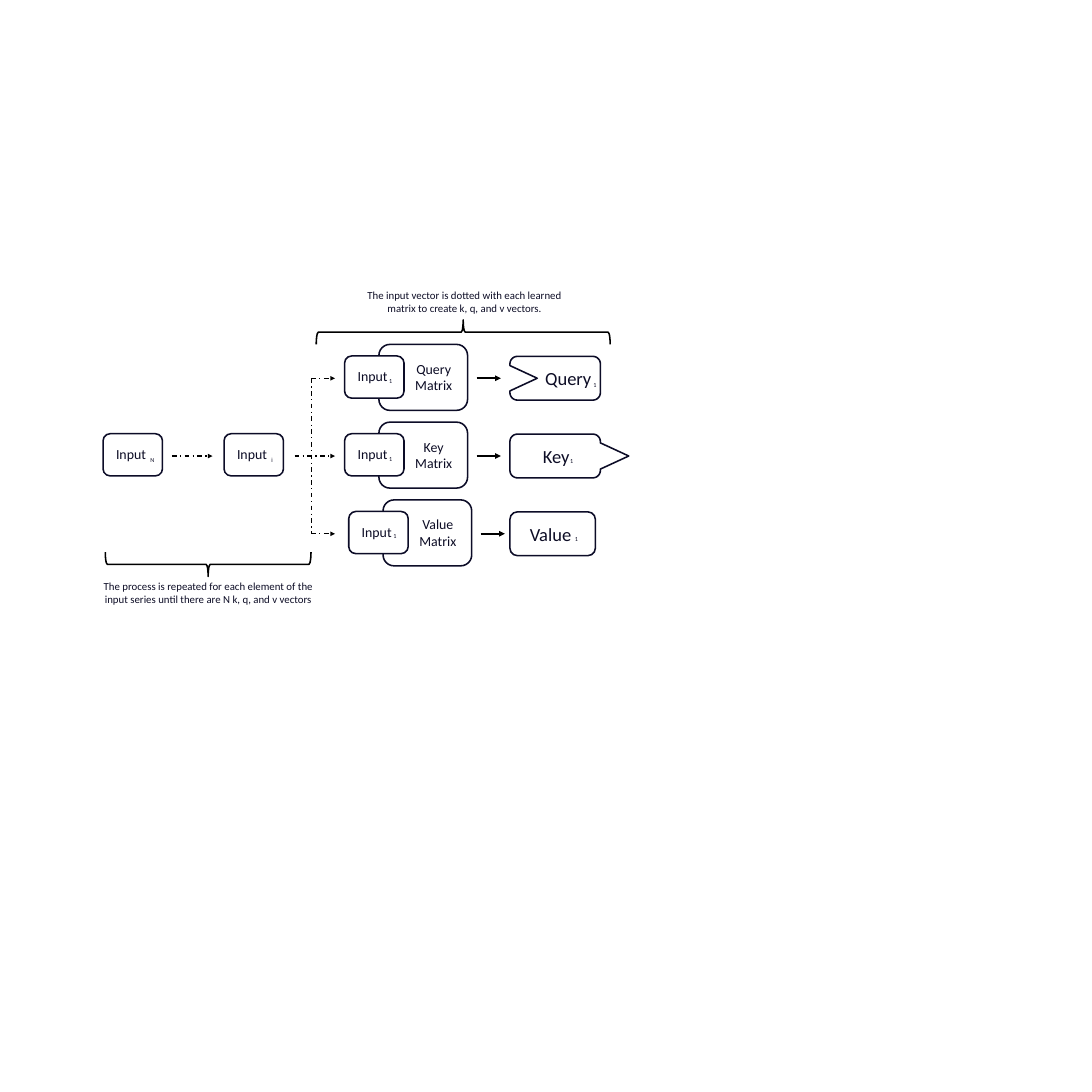
from dataclasses import dataclass
from math import cos, radians, sin

from lxml.etree import SubElement
from pptx import Presentation
from pptx.dml.color import RGBColor
from pptx.enum.dml import MSO_LINE
from pptx.enum.shapes import MSO_CONNECTOR, MSO_SHAPE
from pptx.enum.text import MSO_ANCHOR, MSO_AUTO_SIZE, PP_ALIGN
from pptx.oxml.ns import qn
from pptx.shapes.autoshape import Shape
from pptx.slide import Slide
from pptx.text.text import TextFrame
from pptx.util import Cm, Pt

Point = tuple[float, float]

WHITE = RGBColor(0xFF, 0xFF, 0xFF)
BLACK = RGBColor(0x00, 0x00, 0x00)
OUTLINE = RGBColor(0x0C, 0x0C, 0x27)
INK = RGBColor(0x0C, 0x0C, 0x25)
FONT = "Calibri"

# All lengths are centimetres.
PAGE_SIDE = 50
MIDDLE = 20.88
ROW_PITCH = 3.56
INPUT_WIDTH, INPUT_HEIGHT = 2.72, 1.93
MATRIX_WIDTH, MATRIX_HEIGHT = 4.06, 3.02
OUTPUT_LEFT, OUTPUT_HEIGHT = 23.35, 2.0
VECTOR_WIDTH, VECTOR_RADIUS = 4.14, 0.34
VALUE_WIDTH = 3.91
LABEL_WIDTH = 3.94
SUBSCRIPT_WIDTH = 2.16
BRACE_DEPTH = 1.12
FORK_X, FORK_END = 14.25, 15.34


@dataclass(frozen=True)
class Row:
    name: str
    centre: float
    left: float
    label_left: float
    subscript_left: float
    subscript_drop: float


@dataclass(frozen=True)
class SeriesInput:
    left: float
    subscript: str
    arrow_start: float
    arrow_end: float


@dataclass(frozen=True)
class Brace:
    left: float
    top: float
    length: float
    rotation: int


@dataclass(frozen=True)
class Caption:
    text: str
    left: float
    top: float
    width: float


ROWS = [
    Row("Query", MIDDLE - ROW_PITCH, 15.78, 24.05, 26.16, 0.03),
    Row("Key", MIDDLE, 15.78, 23.5, 25.1, -0.05),
    Row("Value", MIDDLE + ROW_PITCH, 15.97, OUTPUT_LEFT, 25.32, -0.03),
]
SERIES = [
    SeriesInput(4.72, "N", 7.87, 9.73),
    SeriesInput(10.26, "i", 13.49, FORK_END),
]
BRACES = [Brace(8.97, 21.13, 9.42, 90), Brace(20.65, 8.48, 13.46, 270)]
CAPTIONS = [
    Caption("The input vector is dotted with each learned matrix to create "
            "k, q, and v vectors.", 16.15, 13.11, 10.24),
    Caption("The process is repeated for each element of the input series "
            "until there are N k, q, and v vectors", 3.99, 26.42, 11.1),
]


def write(frame: TextFrame, text: str, *, size: float) -> None:
    frame.word_wrap = True
    for index, line in enumerate(text.split("\n")):
        para = frame.paragraphs[0] if index == 0 else frame.add_paragraph()
        para.alignment = PP_ALIGN.CENTER
        span = para.add_run()
        span.text = line
        span.font.name = FONT
        span.font.size = Pt(size)
        span.font.color.rgb = INK


def add_text(page: Slide, text: str, left: float, top: float, *,
             width: float, height: float, size: float) -> None:
    box = page.shapes.add_textbox(Cm(left), Cm(top), Cm(width), Cm(height))
    write(box.text_frame, text, size=size)
    box.text_frame.auto_size = MSO_AUTO_SIZE.SHAPE_TO_FIT_TEXT


def style(shape: Shape) -> None:
    shape.shadow.inherit = False
    shape.fill.solid()
    shape.fill.fore_color.rgb = WHITE
    shape.line.color.rgb = OUTLINE
    shape.line.width = Pt(2)


def add_box(page: Slide, left: float, top: float, width: float,
            height: float) -> Shape:
    box = page.shapes.add_shape(MSO_SHAPE.ROUNDED_RECTANGLE, Cm(left), Cm(top),
                                Cm(width), Cm(height))
    style(box)
    return box


def add_line(page: Slide, start: Point, end: Point, *, width: float = 1.5,
             dashed: bool = True, arrow: bool = True) -> None:
    line = page.shapes.add_connector(
        MSO_CONNECTOR.STRAIGHT, *(Cm(value) for value in start + end))
    line.line.color.rgb = BLACK
    line.line.width = Pt(width)
    if dashed:
        line.line.dash_style = MSO_LINE.DASH_DOT
    properties = line.element.spPr
    if arrow:
        SubElement(properties.find(qn("a:ln")), qn("a:tailEnd"), type="triangle")
    SubElement(properties, qn("a:effectLst"))


def corner(x: float, y: float, first_angle: int) -> list[Point]:
    """Return a quarter circle, clockwise around (x, y)."""
    angles = [radians(first_angle + step) for step in range(0, 91, 10)]
    return [(x + VECTOR_RADIUS * cos(angle), y + VECTOR_RADIUS * sin(angle))
            for angle in angles]


def add_vector(page: Slide, centre: float, *, notch: list[Point] = [],
               tip: list[Point] = []) -> None:
    """Draw a rounded block with a notch on its left or a tip on its right."""
    half = OUTPUT_HEIGHT / 2
    near, far = VECTOR_RADIUS, VECTOR_WIDTH - VECTOR_RADIUS
    upper, lower = VECTOR_RADIUS - half, half - VECTOR_RADIUS
    outline = (corner(near, upper, 180) + corner(far, upper, 270) + tip
               + corner(far, lower, 0) + corner(near, lower, 90) + notch)
    points = [(Cm(OUTPUT_LEFT + x), Cm(centre + y)) for x, y in outline]
    builder = page.shapes.build_freeform(*points[0])
    builder.add_line_segments(points[1:], close=True)
    style(builder.convert_to_shape())


def add_input(page: Slide, left: float, centre: float) -> None:
    add_box(page, left, centre - 1.02, INPUT_WIDTH, INPUT_HEIGHT)
    add_text(page, "Input", left + 0.2, centre - 0.6,
             width=2.16, height=1.02, size=18)


def add_subscript(page: Slide, text: str, left: float, top: float, *,
                  width: float = SUBSCRIPT_WIDTH) -> None:
    add_text(page, text, left, top, width=width, height=0.61, size=8)


def add_output(page: Slide, row: Row) -> None:
    if row.name == "Value":
        box = add_box(page, OUTPUT_LEFT, row.centre - 1, VALUE_WIDTH, OUTPUT_HEIGHT)
        write(box.text_frame, "Value ", size=24)
        box.text_frame.vertical_anchor = MSO_ANCHOR.MIDDLE
        return
    if row.name == "Query":
        add_vector(page, row.centre, notch=[(0, 0.58), (1.25, 0), (0, -0.58)])
    else:
        add_vector(page, row.centre, tip=[(VECTOR_WIDTH, -0.6),
                                          (VECTOR_WIDTH + 1.3, 0),
                                          (VECTOR_WIDTH, 0.6)])
    add_text(page, row.name, row.label_left, row.centre - 0.64,
             width=LABEL_WIDTH, height=1.27, size=24)


def add_row(page: Slide, row: Row) -> None:
    add_box(page, row.left + 1.57, row.centre - 1.55, MATRIX_WIDTH, MATRIX_HEIGHT)
    add_input(page, row.left, row.centre)
    add_text(page, f"{row.name}\nMatrix", row.left + 2.76, row.centre - 0.94,
             width=2.64, height=1.8, size=18)
    add_line(page, (row.left + 6.04, row.centre), (row.left + 7.15, row.centre),
             width=2.5, dashed=False)
    add_output(page, row)
    add_subscript(page, "1", row.left + 1.03, row.centre - 0.17)
    add_subscript(page, "1", row.subscript_left, row.centre + row.subscript_drop)


def add_brace(page: Slide, brace: Brace) -> None:
    shape = page.shapes.add_shape(MSO_SHAPE.RIGHT_BRACE, Cm(brace.left),
                                  Cm(brace.top), Cm(BRACE_DEPTH), Cm(brace.length))
    style(shape)
    shape.fill.background()
    shape.line.color.rgb = BLACK
    shape.rotation = brace.rotation


def main() -> None:
    deck = Presentation()
    deck.slide_width = deck.slide_height = Cm(PAGE_SIDE)
    page = deck.slides.add_slide(deck.slide_layouts[6])
    for row in ROWS:
        add_row(page, row)
    for item in SERIES:
        add_input(page, item.left, MIDDLE)
        add_subscript(page, item.subscript, item.left + 1.92, MIDDLE - 0.1, width=0.53)
        add_line(page, (item.arrow_start, MIDDLE), (item.arrow_end, MIDDLE))
    for row in (ROWS[0], ROWS[-1]):
        add_line(page, (FORK_X, row.centre), (FORK_END, row.centre))
    add_line(page, (FORK_X, ROWS[0].centre), (FORK_X, ROWS[-1].centre), arrow=False)
    for brace in BRACES:
        add_brace(page, brace)
    for caption in CAPTIONS:
        add_text(page, caption.text, caption.left, caption.top,
                 width=caption.width, height=1.45, size=14)
    deck.save("out.pptx")


if __name__ == "__main__":
    main()
